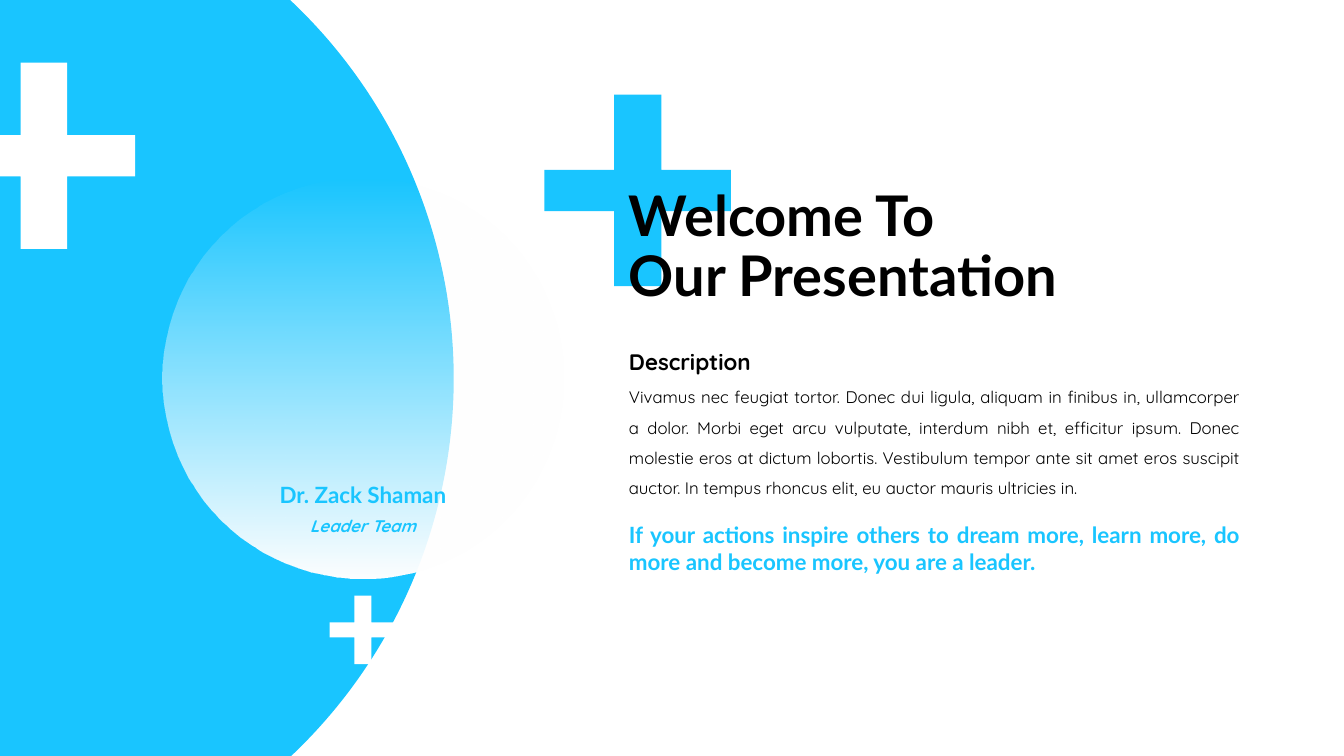
from dataclasses import dataclass

from lxml.etree import SubElement
from pptx import Presentation
from pptx.dml.color import RGBColor
from pptx.enum.shapes import MSO_SHAPE
from pptx.enum.text import MSO_ANCHOR, MSO_AUTO_SIZE, PP_ALIGN
from pptx.oxml.ns import qn
from pptx.shapes.autoshape import Shape
from pptx.slide import Slide
from pptx.util import Inches, Pt

SKY = RGBColor(0x19, 0xC5, 0xFF)
WHITE = RGBColor(0xFF, 0xFF, 0xFF)
BLACK = RGBColor(0x00, 0x00, 0x00)

HEADING_FONT = "Lato"
BODY_FONT = "Quicksand"
CONTENT_LEFT, CONTENT_WIDTH = 6.14, 6.26
NAME_LEFT, NAME_WIDTH = 2.32, 2.56


@dataclass(frozen=True)
class Cross:
    left: float
    top: float
    width: float
    height: float
    upright: float
    crossbar: float
    color: RGBColor


@dataclass(frozen=True)
class TextBlock:
    text: str
    left: float
    top: float
    width: float
    height: float
    size: int
    font: str
    color: RGBColor
    align: PP_ALIGN = PP_ALIGN.JUSTIFY
    spacing: float = 1.5
    bold: bool = True
    italic: bool = False
    anchor: MSO_ANCHOR = MSO_ANCHOR.TOP
    auto_size: MSO_AUTO_SIZE = MSO_AUTO_SIZE.SHAPE_TO_FIT_TEXT


CROSSES = [
    Cross(5.4, 0.94, 1.85, 1.9, 0.47, 0.41, SKY),
    Cross(-0.47, 0.62, 1.81, 1.85, 0.46, 0.41, WHITE),
    Cross(3.27, 5.91, 0.66, 0.68, 0.17, 0.15, WHITE),
]

TEXT_BLOCKS = [
    TextBlock("Welcome To\vOur Presentation", CONTENT_LEFT, 1.74, 4.86, 1.45,
              40, HEADING_FONT, BLACK, align=PP_ALIGN.LEFT, spacing=0.9,
              anchor=MSO_ANCHOR.MIDDLE, auto_size=MSO_AUTO_SIZE.NONE),
    TextBlock("Description", CONTENT_LEFT, 3.27, 2.96, 0.45,
              16, BODY_FONT, BLACK),
    TextBlock("Vivamus nec feugiat tortor. Donec dui ligula, aliquam in finibus in, "
              "ullamcorper a dolor. Morbi eget arcu vulputate, interdum nibh et, "
              "efficitur ipsum. Donec molestie eros at dictum lobortis. Vestibulum "
              "tempor ante sit amet eros suscipit auctor. In tempus rhoncus elit, "
              "eu auctor mauris ultricies in.",
              CONTENT_LEFT, 3.69, CONTENT_WIDTH, 1.31,
              12, BODY_FONT, BLACK, bold=False),
    TextBlock("If your actions inspire others to dream more, learn more, do more "
              "and become more, you are a leader.",
              CONTENT_LEFT, 5.12, CONTENT_WIDTH, 0.64,
              16, HEADING_FONT, SKY, spacing=1.0),
    TextBlock("Dr. Zack Shaman", NAME_LEFT, 4.59, NAME_WIDTH, 0.45,
              16, HEADING_FONT, SKY, align=PP_ALIGN.CENTER),
    TextBlock("Leader Team", NAME_LEFT, 4.97, NAME_WIDTH, 0.37,
              12, BODY_FONT, SKY, align=PP_ALIGN.CENTER, italic=True),
]


def add_circle(page: Slide, left: float, top: float, diameter: float) -> Shape:
    circle = page.shapes.add_shape(MSO_SHAPE.OVAL, Inches(left), Inches(top),
                                   Inches(diameter), Inches(diameter))
    circle.shadow.inherit = False
    circle.line.fill.background()
    return circle


def fade_to_white(circle: Shape) -> None:
    circle.fill.gradient()
    circle.fill.gradient_angle = 270
    for stop in circle.fill.gradient_stops:
        stop.color.rgb = WHITE
    first_color = next(circle.element.iter(qn("a:srgbClr")))
    SubElement(first_color, qn("a:alpha"), val="0")


def add_cross(page: Slide, cross: Cross) -> None:
    right, bottom = cross.left + cross.width, cross.top + cross.height
    inner_left = cross.left + (cross.width - cross.upright) / 2
    inner_right = inner_left + cross.upright
    inner_top = cross.top + (cross.height - cross.crossbar) / 2
    inner_bottom = inner_top + cross.crossbar
    corners = [
        (inner_left, cross.top), (inner_right, cross.top),
        (inner_right, inner_top), (right, inner_top),
        (right, inner_bottom), (inner_right, inner_bottom),
        (inner_right, bottom), (inner_left, bottom),
        (inner_left, inner_bottom), (cross.left, inner_bottom),
        (cross.left, inner_top), (inner_left, inner_top),
    ]
    points = [(Inches(x), Inches(y)) for x, y in corners]
    builder = page.shapes.build_freeform(*points[0])
    builder.add_line_segments(points[1:], close=True)
    shape = builder.convert_to_shape()
    shape.shadow.inherit = False
    shape.fill.solid()
    shape.fill.fore_color.rgb = cross.color
    shape.line.fill.background()


def add_text(page: Slide, block: TextBlock) -> None:
    box = page.shapes.add_textbox(Inches(block.left), Inches(block.top),
                                  Inches(block.width), Inches(block.height))
    frame = box.text_frame
    frame.word_wrap = True
    frame.auto_size = block.auto_size
    frame.vertical_anchor = block.anchor
    para = frame.paragraphs[0]
    para.text = block.text
    para.alignment = block.align
    para.line_spacing = block.spacing
    for span in para.runs:
        span.font.name = block.font
        span.font.size = Pt(block.size)
        span.font.bold = block.bold
        span.font.italic = block.italic
        span.font.color.rgb = block.color


def main() -> None:
    deck = Presentation()
    deck.slide_width, deck.slide_height = Inches(13.33), Inches(7.5)
    page = deck.slides.add_slide(deck.slide_layouts[6])

    backdrop = add_circle(page, -5.81, -1.4, 10.31)
    backdrop.fill.solid()
    backdrop.fill.fore_color.rgb = SKY
    for cross in CROSSES:
        add_cross(page, cross)
    fade_to_white(add_circle(page, 1.61, 1.76, 3.98))
    for block in TEXT_BLOCKS:
        add_text(page, block)

    deck.save("out.pptx")


if __name__ == "__main__":
    main()
